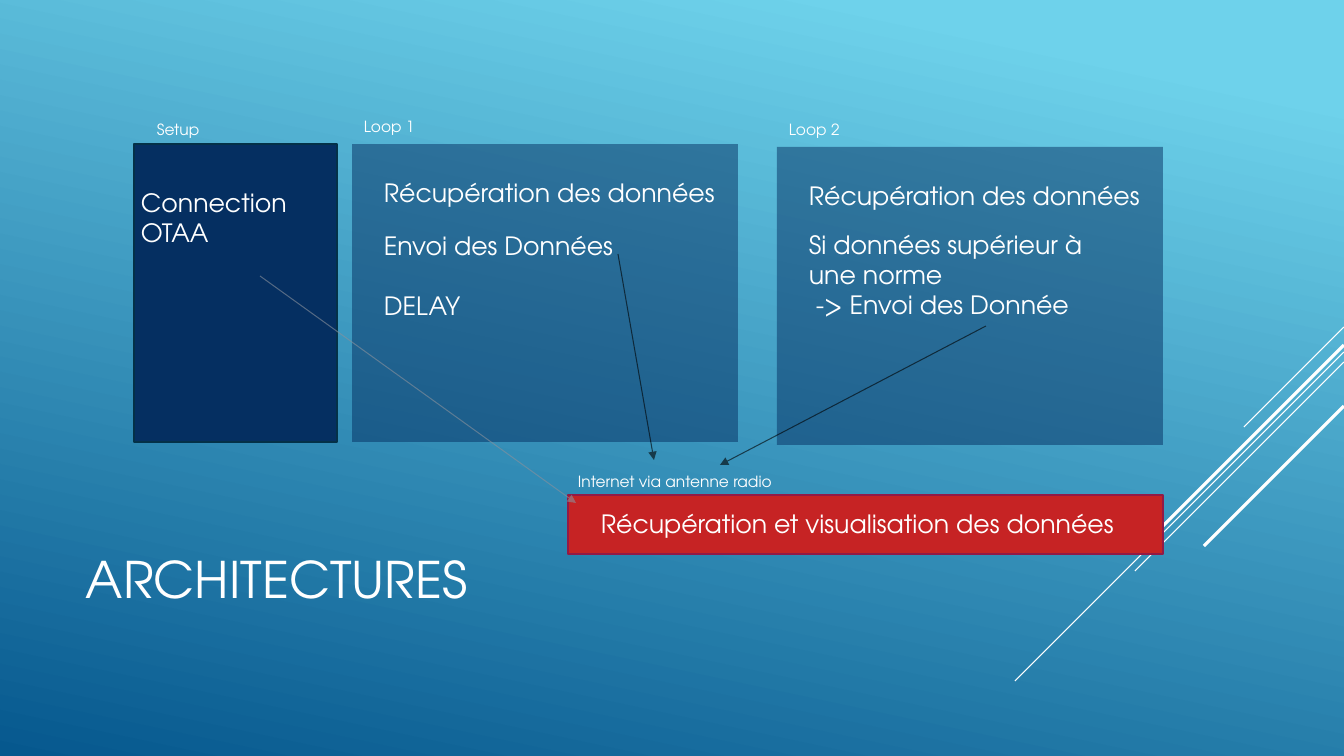
from dataclasses import dataclass

from pptx import Presentation
from pptx.dml.color import RGBColor as RGB
from pptx.enum.shapes import MSO_CONNECTOR as Link, MSO_SHAPE as Preset
from pptx.enum.text import MSO_ANCHOR as Anchor
from pptx.oxml.ns import qn
from pptx.util import Emu, Pt
from lxml.etree import SubElement


@dataclass(frozen=True)
class Theme:
    """Colours, font and type sizes of the slide."""
    font: str = "TeX Gyre Adventor"
    white: str = "FFFFFF"
    black: str = "000000"
    grey: str = "89919C"
    sky: str = "6ED2EB"
    deep: str = "06588E"
    navy: str = "052F61"
    navy_edge: str = "043148"
    red: str = "C62324"
    red_edge: str = "921A46"
    title: int = 36
    body: int = 18
    label: int = 11


THEME = Theme()
EMU_PER_PX = 914400 / 100.8


def px(length):
    """Turn pixels into EMU."""
    return Emu(round(length * EMU_PER_PX))


def set_alpha(element, percent):
    """Make the colour inside an element partly transparent."""
    for colour in element.iter(qn("a:srgbClr")):
        SubElement(colour, qn("a:alpha")).set("val", str(percent * 1000))


def add_words(slide, box, lines, size, gap=0, anchor=Anchor.TOP):
    """Write paragraphs in a box, with a gap in points between them."""
    words = slide.shapes.add_textbox(*map(px, box)).text_frame
    words.word_wrap = True
    words.vertical_anchor = anchor
    words.text = "\n".join(lines)
    for index, paragraph in enumerate(words.paragraphs):
        paragraph.font.name = THEME.font
        paragraph.font.size = Pt(size)
        paragraph.font.color.rgb = RGB.from_string(THEME.white)
        paragraph.space_before = Pt(gap if index else 0)


def add_panel(slide, box, fill, edge=None, opacity=100):
    """Draw a filled rectangle with an optional edge."""
    panel = slide.shapes.add_shape(Preset.RECTANGLE, *map(px, box))
    panel.shadow.inherit = False
    panel.fill.solid()
    panel.fill.fore_color.rgb = RGB.from_string(fill)
    if opacity < 100:
        set_alpha(panel.fill._xPr, opacity)
    if edge:
        panel.line.color.rgb = RGB.from_string(edge)
        panel.line.width = Pt(1.25)
    else:
        panel.line.fill.background()


def add_line(slide, start, end, colour, width=0.75):
    """Draw a straight line without shadow."""
    line = slide.shapes.add_connector(Link.STRAIGHT, *map(px, start + end))
    line.line.color.rgb = RGB.from_string(colour)
    line.line.width = Pt(width)
    SubElement(line._element.spPr, qn("a:effectLst"))
    return line


def add_arrow(slide, start, end, colour):
    """Draw a translucent arrow."""
    outline = add_line(slide, start, end, colour)._element.spPr.find(qn("a:ln"))
    set_alpha(outline, 60)
    SubElement(outline, qn("a:tailEnd")).set("type", "triangle")


def add_backdrop(slide):
    """Fill the background and draw the diagonal rays at the right edge."""
    fill = slide.background.fill
    fill.gradient()
    fill.gradient_angle = 360 - 102
    stops = zip(fill.gradient_stops, (0.1, 1), (THEME.sky, THEME.deep))
    for stop, position, colour in stops:
        stop.position = position
        stop.color.rgb = RGB.from_string(colour)
    rays = ((327, 100, 0.75), (352, 329, 0.75), (362, 209, 0.75),
            (345, 192, 2.25), (406, 140, 2.25))
    for top, reach, width in rays:
        add_line(slide, (1344, top), (1344 - reach, top + reach),
                 THEME.white, width)


def add_setup(slide, box):
    """Place the setup step."""
    left, top, _, _ = box
    add_panel(slide, box, THEME.navy, THEME.navy_edge)
    add_words(slide, (left + 13, top - 29, 95, 29), ["Setup"], THEME.label)
    add_words(slide, (left - 3, top + 38, 173, 72), ["Connection OTAA"],
              THEME.body)


def add_loop(slide, box, label, steps, steps_box, gap=0):
    """Place a loop with its label, its first step and the steps after it."""
    left, top, _, _ = box
    offset, width = steps_box
    add_panel(slide, box, THEME.navy, opacity=50)
    add_words(slide, (left + 2, top - 32, 95, 29), [label], THEME.label)
    add_words(slide, (left + 22, top + 28, 403, 40),
              ["Récupération des données"], THEME.body)
    add_words(slide, (left + 22, top + offset, width, 102), steps,
              THEME.body, gap)


def add_result(slide, box):
    """Place the bar where the data arrives."""
    left, top, _, _ = box
    add_panel(slide, box, THEME.red, THEME.red_edge)
    add_words(slide, (left, top - 28, 415, 29), ["Internet via antenne radio"],
              THEME.label)
    add_words(slide, (left + 23, top + 8, 550, 40),
              ["Récupération et visualisation des données"], THEME.body)


def add_flows(slide):
    """Draw the arrows from the steps to the result."""
    add_arrow(slide, (260, 276), (576, 503), THEME.grey)
    add_arrow(slide, (618, 254), (654, 460), THEME.black)
    add_arrow(slide, (986, 326), (720, 465), THEME.black)


def main():
    """Build and save the slide."""
    deck = Presentation()
    deck.slide_width, deck.slide_height = px(1344), px(756)
    slide = deck.slides.add_slide(deck.slide_layouts[6])
    add_backdrop(slide)
    add_words(slide, (76, 495, 940, 166), ["ARCHITECTURES"], THEME.title,
              anchor=Anchor.MIDDLE)
    add_setup(slide, (134, 144, 203, 298))
    add_loop(slide, (352, 144, 386, 298), "Loop 1",
             ["Envoi des Données", "DELAY"], (81, 260), gap=21.5)
    add_loop(slide, (777, 147, 386, 298), "Loop 2",
             ["Si données supérieur à une norme", " -> Envoi des Donnée"],
             (77, 299))
    add_result(slide, (568, 495, 595, 59))
    add_flows(slide)
    deck.save("out.pptx")


if __name__ == "__main__":
    main()
